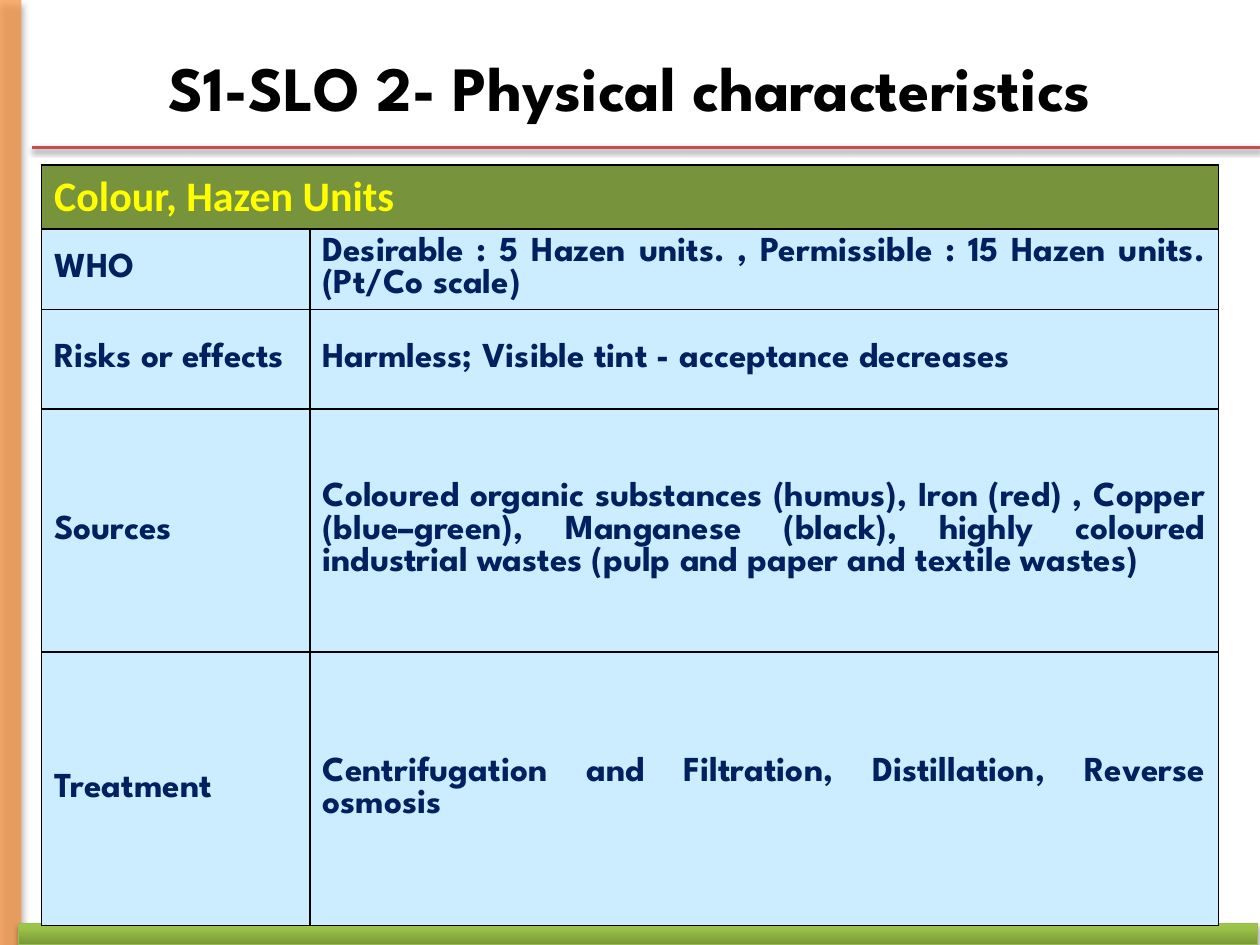
from lxml import etree
from pptx import Presentation
from pptx.dml.color import RGBColor
from pptx.enum.shapes import MSO_CONNECTOR, MSO_SHAPE
from pptx.enum.text import MSO_ANCHOR, PP_ALIGN
from pptx.oxml import parse_xml
from pptx.oxml.ns import nsdecls, qn
from pptx.util import Inches, Pt

RECTANGLE = MSO_SHAPE.RECTANGLE
STRAIGHT = MSO_CONNECTOR.STRAIGHT
MIDDLE = MSO_ANCHOR.MIDDLE
LEFT, CENTER, JUSTIFY = PP_ALIGN.LEFT, PP_ALIGN.CENTER, PP_ALIGN.JUSTIFY

BLACK = RGBColor(0x00, 0x00, 0x00)
ORANGE = RGBColor(0xF7, 0x96, 0x46)
RED = RGBColor(0xC0, 0x50, 0x4D)
EDGE_GREEN = RGBColor(0x98, 0xB9, 0x55)
HEADER_GREEN = RGBColor(0x77, 0x93, 0x3C)
YELLOW = RGBColor(0xFF, 0xFF, 0x00)
NAVY = RGBColor(0x00, 0x20, 0x60)
PALE_BLUE = RGBColor(0xCC, 0xEC, 0xFF)
GREEN_STOPS = [
    (0, RGBColor(0x77, 0x97, 0x37)),
    (80, RGBColor(0x9B, 0xC3, 0x48)),
    (100, RGBColor(0x9D, 0xC7, 0x46)),
]

BODY_FONT = "League Spartan"
HEADING = "Colour, Hazen Units"
COLUMN_WIDTHS = [2.13, 7.21]
ROW_HEIGHTS = [0.46, 0.64, 0.79, 1.93, 2.17]
PROPERTIES = [
    ("WHO", "Desirable : 5 Hazen units. , Permissible : 15 Hazen units.(Pt/Co scale)"),
    ("Risks or effects", "Harmless; Visible tint - acceptance decreases"),
    ("Sources", "Coloured organic substances (humus), Iron (red) , Copper (blue–green), "
                "Manganese (black), highly coloured industrial wastes "
                "(pulp and paper and textile wastes)"),
    ("Treatment", "Centrifugation and Filtration, Distillation, Reverse osmosis"),
]


def write_text(frame, text, font=BODY_FONT, size=20, color=NAVY, align=JUSTIFY):
    """Write one bold paragraph into a text frame."""
    paragraph = frame.paragraphs[0]
    paragraph.alignment = align
    run = paragraph.add_run()
    run.text = text
    run.font.name = font
    run.font.size = Pt(size)
    run.font.bold = True
    run.font.color.rgb = color


def add_shadow(part, opacity, blur, distance):
    """Give a shape or connector a downward black shadow."""
    properties = part._element.spPr
    for effects in properties.findall(qn("a:effectLst")):
        properties.remove(effects)
    properties.append(parse_xml(
        f'<a:effectLst {nsdecls("a")}><a:outerShdw blurRad="{Pt(blur)}" '
        f'dist="{Pt(distance)}" dir="5400000" rotWithShape="0">'
        f'<a:srgbClr val="{BLACK}"><a:alpha val="{opacity * 1000}"/></a:srgbClr>'
        '</a:outerShdw></a:effectLst>'))


def add_side_band(slide, left, top, width, height):
    """Add the translucent orange band on the left edge."""
    band = slide.shapes.add_shape(RECTANGLE, left, top, width, height)
    band.fill.solid()
    band.fill.fore_color.rgb = ORANGE
    color = band._element.spPr.find(".//" + qn("a:srgbClr"))
    etree.SubElement(color, qn("a:alpha"), val="76000")
    band.line.fill.background()
    add_shadow(band, 40, 4, 3)


def add_bottom_band(slide, left, top, width, height):
    """Add the green gradient band along the bottom."""
    band = slide.shapes.add_shape(RECTANGLE, left, top, width, height)
    band.line.color.rgb = EDGE_GREEN
    band.line.width = Pt(0.75)
    stops = "".join(f'<a:gs pos="{position * 1000}"><a:srgbClr val="{color}"/></a:gs>'
                    for position, color in GREEN_STOPS)
    band._element.spPr.find(qn("a:prstGeom")).addnext(parse_xml(
        f'<a:gradFill {nsdecls("a")} rotWithShape="1"><a:gsLst>{stops}</a:gsLst>'
        '<a:lin ang="16200000" scaled="0"/></a:gradFill>'))
    add_shadow(band, 35, 3.1, 1.8)


def add_title_rule(slide, left, top, right):
    """Add the red rule below the title."""
    rule = slide.shapes.add_connector(STRAIGHT, left, top, right, top)
    rule.line.color.rgb = RED
    rule.line.width = Pt(2)
    add_shadow(rule, 38, 3.1, 1.6)


def place_title(slide, left, top, width, height):
    """Move and fill the title placeholder."""
    title = slide.shapes.title
    title.left, title.top, title.width, title.height = left, top, width, height
    title.text_frame.vertical_anchor = MIDDLE
    write_text(title.text_frame, "S1-SLO 2- Physical characteristics",
               size=36, color=BLACK, align=CENTER)


def format_cell(cell, fill):
    """Fill a cell and draw its four black borders."""
    cell.vertical_anchor = MIDDLE
    properties = cell._tc.get_or_add_tcPr()
    for side in ("lnL", "lnR", "lnT", "lnB"):
        properties.append(parse_xml(
            f'<a:{side} {nsdecls("a")} w="{Pt(1)}"><a:solidFill>'
            f'<a:srgbClr val="{BLACK}"/></a:solidFill></a:{side}>'))
    cell.fill.solid()
    cell.fill.fore_color.rgb = fill


def add_colour_table(slide, left, top, width, height):
    """Add the table of colour limits, effects, sources and treatment."""
    table = slide.shapes.add_table(len(ROW_HEIGHTS), len(COLUMN_WIDTHS),
                                   left, top, width, height).table
    table.first_row = table.horz_banding = False
    for column, column_width in zip(table.columns, COLUMN_WIDTHS):
        column.width = Inches(column_width)
    for row, row_height in zip(table.rows, ROW_HEIGHTS):
        row.height = Inches(row_height)
    for cell in table.rows[0].cells:
        format_cell(cell, HEADER_GREEN)
    heading = table.cell(0, 0)
    heading.merge(table.cell(0, 1))
    write_text(heading.text_frame, HEADING, font="Calibri", size=24,
               color=YELLOW, align=LEFT)
    for row_index, entries in enumerate(PROPERTIES, start=1):
        for cell, entry in zip(table.rows[row_index].cells, entries):
            format_cell(cell, PALE_BLUE)
            write_text(cell.text_frame, entry)


def main():
    """Build and save the slide."""
    deck = Presentation()
    deck.slide_width, deck.slide_height = Inches(10), Inches(7.5)
    slide = deck.slides.add_slide(deck.slide_layouts[5])
    add_side_band(slide, 0, 0, Inches(0.17), Inches(7.5))
    add_bottom_band(slide, Inches(0.15), Inches(7.33), Inches(9.83), Inches(0.17))
    add_title_rule(slide, Inches(0.25), Inches(1.17), Inches(10))
    add_colour_table(slide, Inches(0.33), Inches(1.31), Inches(9.34), Inches(5.99))
    place_title(slide, Inches(0.5), Inches(0.06), Inches(9), Inches(1.25))
    deck.save("out.pptx")


if __name__ == "__main__":
    main()
